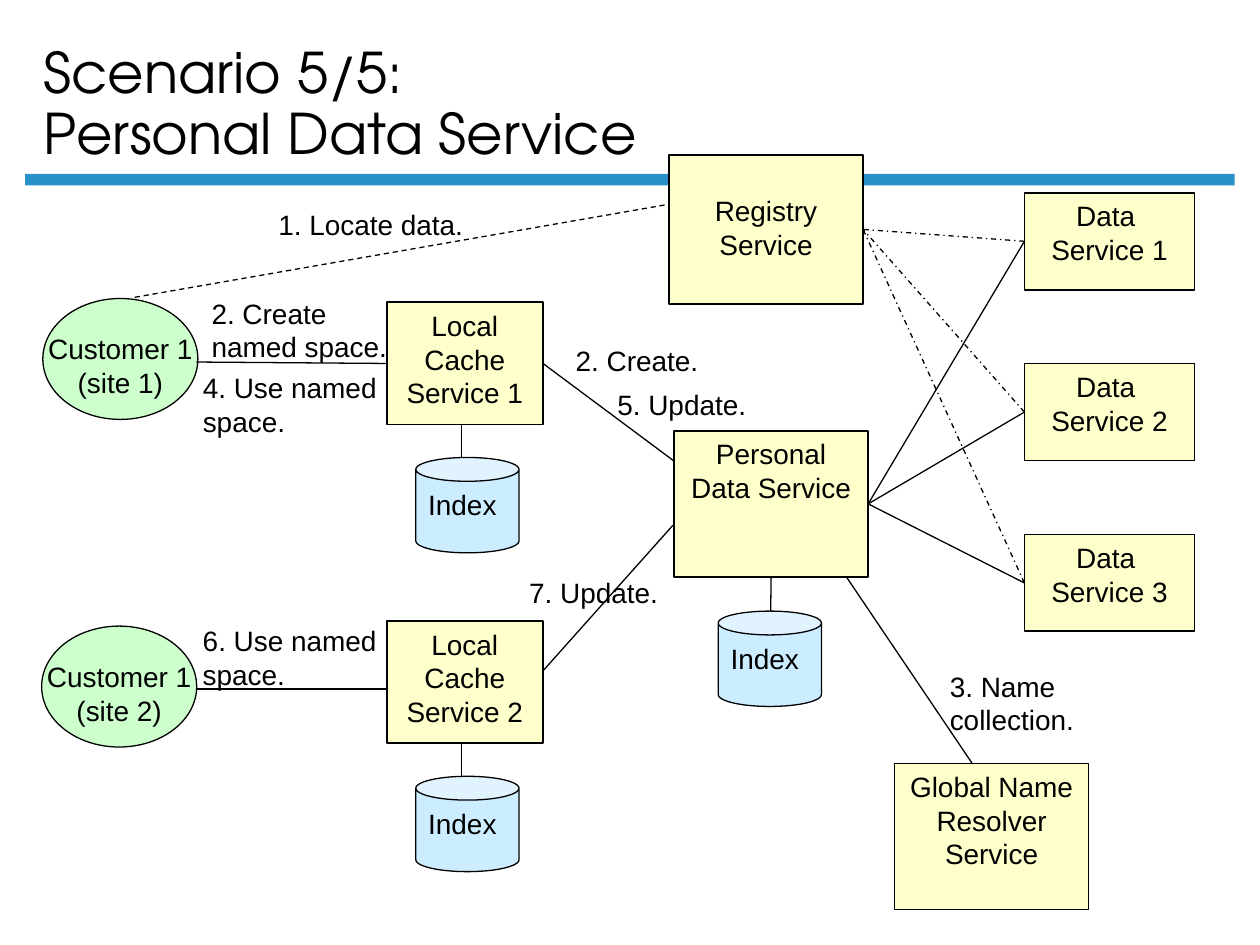
from lxml.etree import SubElement
from pptx import Presentation
from pptx.dml.color import RGBColor
from pptx.enum.dml import MSO_LINE
from pptx.enum.shapes import MSO_CONNECTOR, MSO_SHAPE
from pptx.enum.text import MSO_ANCHOR, PP_ALIGN
from pptx.oxml.ns import qn
from pptx.util import Pt

TOP, LEFT, BOTTOM, RIGHT = range(4)
BLANK_LAYOUT = 6
BOX_MARGINS = (7.2, 3.6, 7.2, 3.6)
LABEL_MARGINS = (1.4, 0.7, 1.4, 0.7)
# One 16 pt line of room above the text
LINE_HEIGHT = 18.4


def colour(hex_string):
    return RGBColor.from_string(hex_string)


def lower(margins):
    """Move text one line down by enlarging the top margin."""
    left, top, right, bottom = margins
    return left, top + LINE_HEIGHT, right, bottom


class Diagram:
    ink = "000000"
    service_fill = "FFFFCC"
    customer_fill = "CCFFCC"
    index_fill = "CCECFF"
    bar_fill = "2990CA"
    body_font = {"name": "Arial", "size": Pt(16)}
    title_font = {"name": "TeX Gyre Adventor", "size": Pt(32)}

    def __init__(self, slide):
        self.slide = slide

    def set_text(self, shape, text, margins, align=PP_ALIGN.LEFT,
                 anchor=MSO_ANCHOR.TOP, font=None, line_spacing=None):
        frame = shape.text_frame
        left, top, right, bottom = map(Pt, margins)
        frame_format = {
            "word_wrap": True, "vertical_anchor": anchor,
            "margin_left": left, "margin_top": top,
            "margin_right": right, "margin_bottom": bottom,
        }
        for name, value in frame_format.items():
            setattr(frame, name, value)
        frame.text = text
        for paragraph in frame.paragraphs:
            paragraph.alignment = align
            paragraph.line_spacing = line_spacing
            for name, value in (font or self.body_font).items():
                setattr(paragraph.font, name, value)
            paragraph.font.color.rgb = colour(self.ink)

    def shape(self, kind, bounds, fill, line_width=None):
        shape = self.slide.shapes.add_shape(kind, *map(Pt, bounds))
        shape.shadow.inherit = False
        shape.fill.solid()
        shape.fill.fore_color.rgb = colour(fill)
        if line_width is None:
            shape.line.fill.background()
        else:
            shape.line.color.rgb = colour(self.ink)
            shape.line.width = Pt(line_width)
        return shape

    def label(self, text, bounds, margins=LABEL_MARGINS, **options):
        box = self.slide.shapes.add_textbox(*map(Pt, bounds))
        self.set_text(box, text, margins, **options)

    def title(self, text):
        self.label(text, (18, 8.6, 616.3, 90), BOX_MARGINS,
                   anchor=MSO_ANCHOR.BOTTOM, font=self.title_font,
                   line_spacing=0.9)

    def bar(self):
        self.shape(MSO_SHAPE.RECTANGLE, (14.4, 99.4, 691.2, 6.5), self.bar_fill)

    def service(self, text, bounds, margins=BOX_MARGINS):
        box = self.shape(MSO_SHAPE.RECTANGLE, bounds, self.service_fill, 1)
        self.set_text(box, text, margins, PP_ALIGN.CENTER)
        return box

    def customer(self, text, left, top):
        bounds = (left, top, 88.6, 69.1)
        self.shape(MSO_SHAPE.OVAL, bounds, self.customer_fill, 0.75)
        self.label(text, bounds, lower(LABEL_MARGINS), align=PP_ALIGN.CENTER)

    def index(self, left, top):
        can = self.shape(MSO_SHAPE.CAN, (left, top, 59, 54.5),
                         self.index_fill, 0.75)
        self.set_text(can, "Index", BOX_MARGINS)

    def line(self, start, end, dash=None):
        """Draw a line; each end is a point or a (shape, side) pair."""
        joins = [not isinstance(place[0], (int, float)) for place in (start, end)]
        points = [(0, 0) if joined else place
                  for joined, place in zip(joins, (start, end))]
        connector = self.slide.shapes.add_connector(
            MSO_CONNECTOR.STRAIGHT, *(Pt(value) for point in points for value in point))
        if joins[0]:
            connector.begin_connect(*start)
        if joins[1]:
            connector.end_connect(*end)
        connector.line.color.rgb = colour(self.ink)
        connector.line.width = Pt(0.75)
        if dash:
            connector.line.dash_style = dash
        SubElement(connector.element.spPr, qn("a:effectLst"))


def main():
    presentation = Presentation()
    presentation.slide_width, presentation.slide_height = Pt(720), Pt(540)
    layout = presentation.slide_layouts[BLANK_LAYOUT]
    diagram = Diagram(presentation.slides.add_slide(layout))

    diagram.bar()
    diagram.title("Scenario 5/5:\vPersonal Data Service")

    # Lines that run on behind the boxes
    diagram.line((306.7, 387.4), (384.5, 300.2))
    diagram.line((77, 169.9), (383, 116.6), MSO_LINE.DASH)
    diagram.line((477.4, 320.4), (556.6, 437.8))
    diagram.line((111.6, 393.8), (221, 393.8))

    diagram.customer("Customer 1 (site 1)", 24.5, 170.6)
    diagram.customer("Customer 1 (site 2)", 23.8, 357.8)

    registry = diagram.service("Registry\nService", (382.3, 88.6, 110.9, 85),
                               lower(BOX_MARGINS))
    personal = diagram.service("Personal Data Service", (385.2, 246.2, 110.9, 83.5))
    diagram.service("Global Name Resolver Service", (511.2, 436.3, 110.9, 83.5))

    caches = []
    for row in range(2):
        top = 172.8 + 182.2 * row
        caches.append(diagram.service(f"Local Cache Service {row + 1}",
                                      (221, top, 89.3, 69.8)))
        diagram.index(237.6, top + 88.6)
        diagram.line((263.9, top + 69.8), (263.9, top + 88.6))

    diagram.index(410.4, 349.2)
    diagram.line((personal, BOTTOM), (440.4, 349.2))
    diagram.line((112.3, 206.9), (caches[0], LEFT))
    diagram.line((caches[0], RIGHT), (385.2, 263.5))

    for row in range(3):
        data = diagram.service(f"Data \nService {row + 1}",
                               (585.4, 110.2 + 97.6 * row, 97.2, 55.4))
        diagram.line((data, LEFT), (registry, RIGHT), MSO_LINE.DASH_DOT)
        diagram.line((personal, RIGHT), (data, LEFT))

    steps = [
        ("1. Locate data.", (157.7, 118.1, 112.3, 32.4)),
        ("2. Create named space.", (119.5, 168.5, 113, 38.9)),
        ("2. Create.", (327.6, 195.8, 84.2, 22.3)),
        ("3. Name collection.", (541.4, 381.6, 88.6, 42.5)),
        ("4. Use named space.", (114.5, 211, 133.2, 42.5)),
        ("5. Update.", (351.4, 221, 84.2, 22.3)),
        ("6. Use named space.", (114.5, 355.7, 117.4, 42.5)),
        ("7. Update.", (301, 328.3, 84.2, 21.6)),
    ]
    for text, bounds in steps:
        diagram.label(text, bounds)

    presentation.save("out.pptx")


if __name__ == "__main__":
    main()
